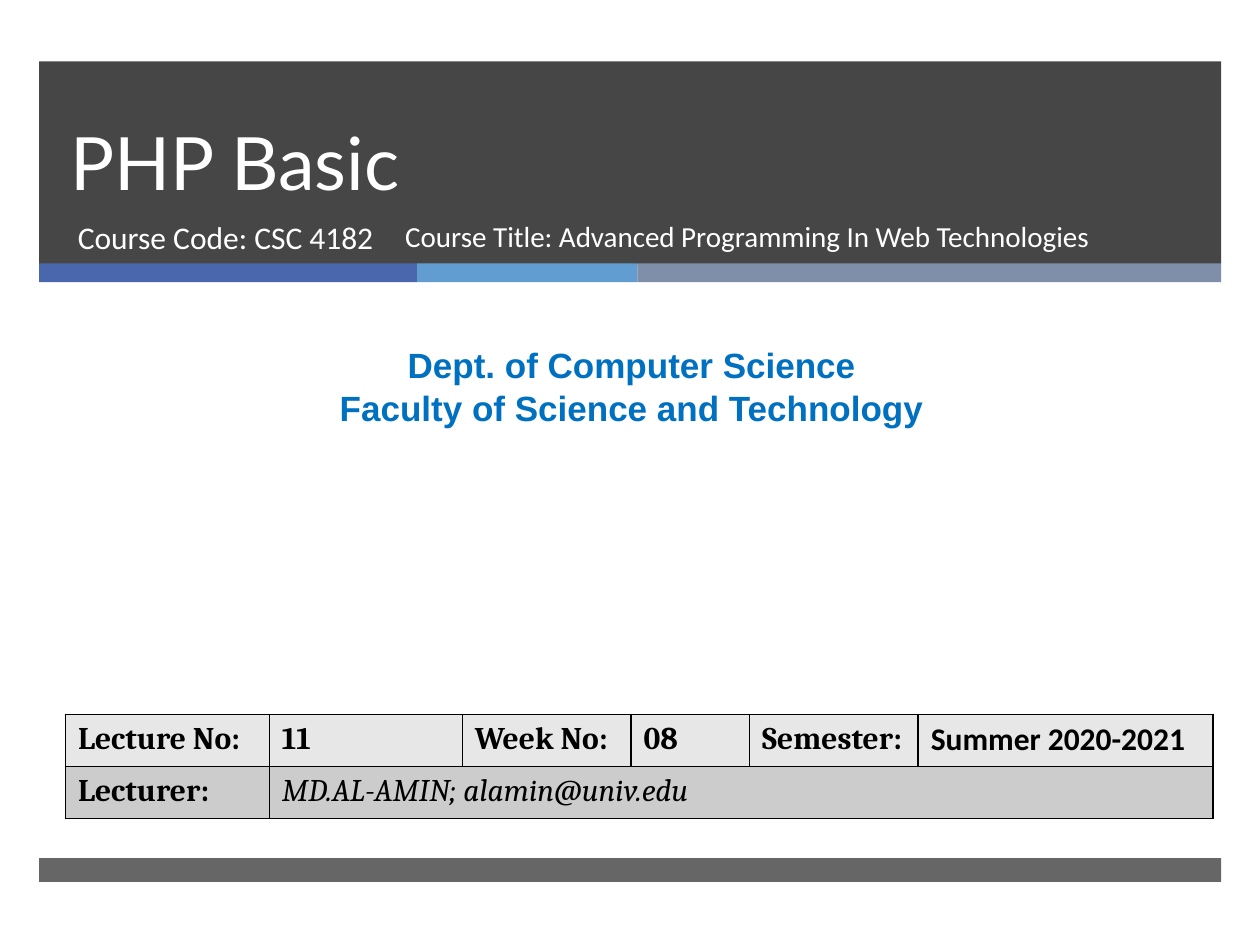
from lxml import etree
from pptx import Presentation
from pptx.dml.color import RGBColor
from pptx.enum.shapes import MSO_SHAPE
from pptx.enum.text import MSO_ANCHOR, PP_ALIGN
from pptx.oxml.ns import qn
from pptx.util import Cm, Pt

RECTANGLE = MSO_SHAPE.RECTANGLE
TOP, BOTTOM = MSO_ANCHOR.TOP, MSO_ANCHOR.BOTTOM
LEFT, CENTER = PP_ALIGN.LEFT, PP_ALIGN.CENTER


def color(hex_string):
    return RGBColor.from_string(hex_string)


def style_paragraph(paragraph, text, font_name, size, hex_string, bold=False, italic=False):
    paragraph.text = text
    font = paragraph.font
    font.name = font_name
    font.size = Pt(size)
    font.bold = bold
    font.italic = italic
    font.color.rgb = color(hex_string)


presentation = Presentation()
presentation.slide_width = Cm(25.4)
presentation.slide_height = Cm(19.05)
slide = presentation.slides.add_slide(presentation.slide_layouts[6])

bars = [
    (0.79, 1.24, 23.83, 4.09, "262626", 85),
    (0.79, 5.31, 7.62, 0.38, "4A66AC", 100),
    (8.41, 5.31, 4.44, 0.38, "629DD1", 100),
    (12.85, 5.31, 11.77, 0.38, "7F8FA9", 100),
    (0.79, 17.3, 23.83, 0.48, "262626", 70),
]
for left, top, width, height, fill, opacity in bars:
    bar = slide.shapes.add_shape(RECTANGLE, Cm(left), Cm(top), Cm(width), Cm(height))
    bar.shadow.inherit = False
    bar.line.fill.background()
    bar.fill.solid()
    bar.fill.fore_color.rgb = color(fill)
    if opacity < 100:
        fill_color = bar._element.spPr.find(qn("a:solidFill"))[0]
        etree.SubElement(fill_color, qn("a:alpha"), val=str(opacity * 1000))

texts = [
    (1.17, 1.24, 21.69, 3.02, ["PHP Basic"], "Lato", 42, "FFFFFF", False, LEFT, BOTTOM, Pt(46)),
    (1.32, 4.27, 7.75, 1.35, ["Course Code: CSC 4182"], "Calibri", 18, "FFFFFF", False, LEFT, TOP, None),
    (0.2, 6.81, 25.07, 1.96, ["Dept. of Computer Science", "Faculty of Science and Technology"],
     "Arial", 20, "0070C0", True, CENTER, TOP, None),
    (7.92, 4.27, 15.09, 1.35, ["Course Title: Advanced Programming In Web Technologies"],
     "Calibri", 16.6, "FFFFFF", False, LEFT, TOP, None),
]
for left, top, width, height, lines, font_name, size, hex_string, bold, alignment, anchor, spacing in texts:
    text_box = slide.shapes.add_textbox(Cm(left), Cm(top), Cm(width), Cm(height))
    text_frame = text_box.text_frame
    text_frame.word_wrap = True
    text_frame.vertical_anchor = anchor
    for index, line in enumerate(lines):
        paragraph = text_frame.add_paragraph() if index else text_frame.paragraphs[0]
        style_paragraph(paragraph, line, font_name, size, hex_string, bold)
        paragraph.alignment = alignment
        paragraph.line_spacing = spacing

column_widths = [4.11, 3.89, 3.4, 2.39, 3.4, 5.94]
rows = [
    ["Lecture No:", "11", "Week No:", "08", "Semester:", "Summer 2020-2021"],
    ["Lecturer:", "MD.AL-AMIN; alamin@univ.edu"],
]
row_fills = ["E7E7E7", "CCCCCC"]
table = slide.shapes.add_table(
    len(rows), len(column_widths), Cm(1.32), Cm(14.4), Cm(sum(column_widths)), Cm(2.1)
).table
for column, width in zip(table.columns, column_widths):
    column.width = Cm(width)
for row_index, fill in enumerate(row_fills):
    table.rows[row_index].height = Cm(1.05)
    for cell in table.rows[row_index].cells:
        properties = cell._tc.get_or_add_tcPr()
        for side in ("a:lnL", "a:lnR", "a:lnT", "a:lnB"):
            border = etree.SubElement(properties, qn(side), w=str(Pt(1)))
            border_fill = etree.SubElement(border, qn("a:solidFill"))
            etree.SubElement(border_fill, qn("a:srgbClr"), val="000000")
        cell.fill.solid()
        cell.fill.fore_color.rgb = color(fill)
    for column_index, text in enumerate(rows[row_index]):
        paragraph = table.cell(row_index, column_index).text_frame.paragraphs[0]
        is_lecturer = (row_index, column_index) == (1, 1)
        font_name = "Calibri" if column_index == 5 else "Cambria"
        style_paragraph(paragraph, text, font_name, 18, "000000", not is_lecturer, is_lecturer)
table.cell(1, 1).merge(table.cell(1, 5))

presentation.save("out.pptx")
